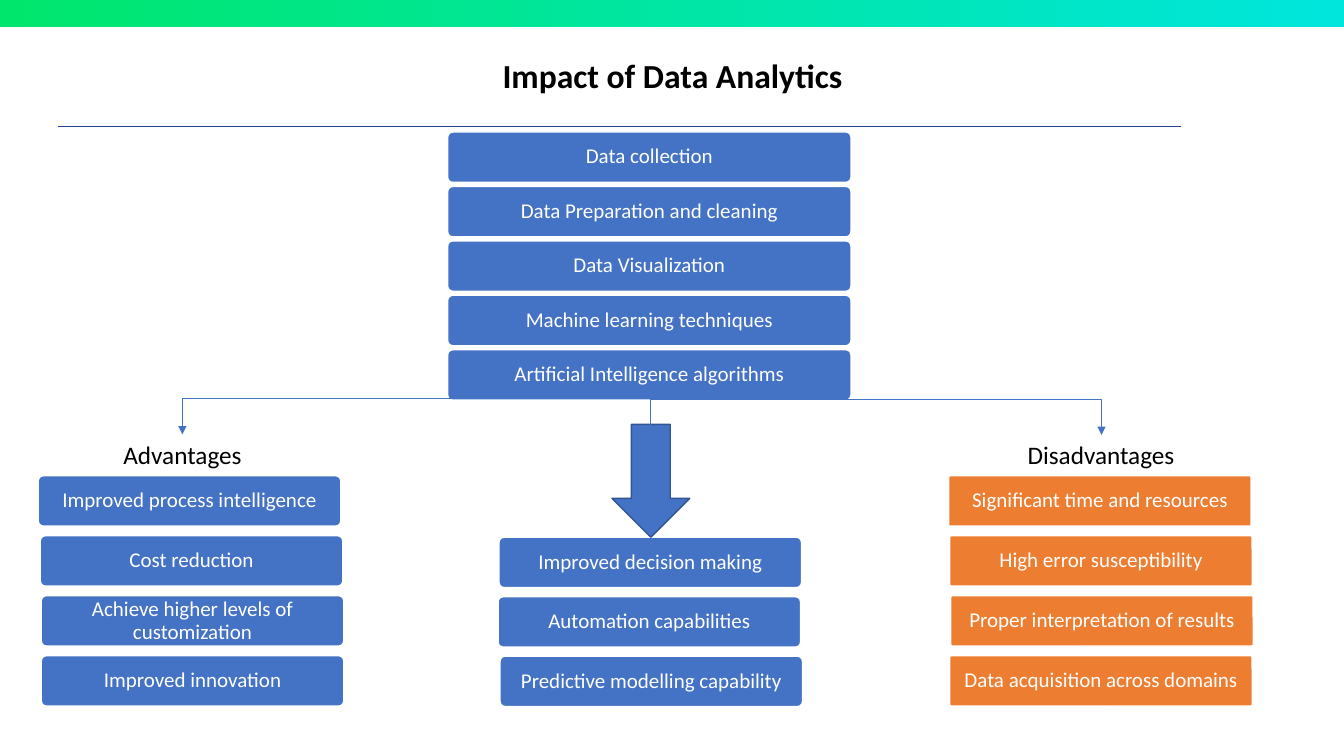
"""Build the slide on the impact of data analytics."""
import pptx
import pptx.util
import pptx.dml.color
import pptx.enum.shapes
import pptx.enum.text
import pptx.oxml
import pptx.oxml.ns

Inches = pptx.util.Inches
Pt = pptx.util.Pt
kinds = pptx.enum.shapes.MSO_SHAPE
links = pptx.enum.shapes.MSO_CONNECTOR
middle = pptx.enum.text.MSO_ANCHOR.MIDDLE
center = pptx.enum.text.PP_ALIGN.CENTER
colors = {
    "green": "00E66C", "aqua": "00E6DC", "navy": "234198", "blue": "4472C4",
    "edge": "325491", "orange": "ED7D31", "white": "FFFFFF", "black": "000000",
}
rgb = {name: pptx.dml.color.RGBColor.from_string(code) for name, code in colors.items()}


def write(shape, text, size, color, bold=False, inset=None, spacing=None):
    frame = shape.text_frame
    frame.word_wrap = True
    frame.text = text
    if inset is not None:
        frame.vertical_anchor = middle
        for side in ("left", "top", "right", "bottom"):
            setattr(frame, f"margin_{side}", Inches(inset))
    para = frame.paragraphs[0]
    para.alignment = center
    para.line_spacing = spacing
    font = para.runs[0].font
    for key, value in {"name": "Calibri", "size": Pt(size), "bold": bold}.items():
        setattr(font, key, value)
    font.color.rgb = rgb[color]


def draw(kind, box, fill, edge):
    shape = slide.shapes.add_shape(kind, *map(Inches, box))
    shape.shadow.inherit = False
    shape.fill.solid()
    shape.fill.fore_color.rgb = rgb[fill]
    shape.line.color.rgb = rgb[edge]
    shape.line.width = Pt(1)
    return shape


deck = pptx.Presentation()
deck.slide_width = Inches(13.33)
deck.slide_height = Inches(7.5)
slide = deck.slides.add_slide(deck.slide_layouts[6])

band = slide.shapes.add_shape(kinds.RECTANGLE, 0, 0, Inches(13.33), Inches(0.27))
band.shadow.inherit = False
band.line.fill.background()
band.fill.gradient()
band.fill.gradient_angle = 0
for stop, name in zip(band.fill.gradient_stops, ("green", "aqua")):
    stop.color.rgb = rgb[name]

labels = [
    ("Impact of Data Analytics", (1.94, 0.5, 9.46, 0.5), 24, True),
    ("Advantages", (0.75, 4.31, 2.12, 0.4), 18, False),
    ("Disadvantages", (9.86, 4.31, 2.12, 0.4), 18, False),
]
for text, box, size, bold in labels:
    write(slide.shapes.add_textbox(*map(Inches, box)), text, size, "black", bold)

stacks = [
    ([4.44] * 5, 1.31, 0.54, 4, "blue", 0.1, [
        "Data collection", "Data Preparation and cleaning", "Data Visualization",
        "Machine learning techniques", "Artificial Intelligence algorithms"]),
    ([4.95, 4.94, 4.96], 5.33, 0.59, 3, "blue", 0.1, [
        "Improved decision making", "Automation capabilities",
        "Predictive modelling capability"]),
    ([0.38, 0.4, 0.41, 0.41], 4.72, 0.595, 3, "blue", 0.1, [
        "Improved process intelligence", "Cost reduction",
        "Achieve higher levels of customization", "Improved innovation"]),
    ([9.41, 9.42, 9.43, 9.42], 4.72, 0.595, 3, "orange", 0.03, [
        "Significant time and resources", "High error susceptibility",
        "Proper interpretation of results", "Data acquisition across domains"]),
]
for lefts, top, step, width, fill, curve, texts in stacks:
    for row, (left, text) in enumerate(zip(lefts, texts)):
        card = draw(kinds.ROUNDED_RECTANGLE, (left, top + row * step, width, 0.5), fill, "white")
        card.adjustments[0] = curve
        write(card, text, 15, "white", inset=0.06, spacing=0.9)

draw(kinds.DOWN_ARROW, (6.07, 4.21, 0.77, 1.12), "blue", "edge")

lines = [
    (links.STRAIGHT, (0.58, 1.25, 11.71, 1.25), "navy"),
    (links.ELBOW, (4.18, 6.58, 4.08, 1.94), "blue"),
    (links.ELBOW, (8.74, 2.03, 8.64, 6.5), "blue"),
]
for kind, ends, color in lines:
    line = slide.shapes.add_connector(kind, *map(Inches, ends))
    line.line.color.rgb = rgb[color]
    line.line.width = Pt(0.5)
    props = line._element.spPr
    if kind == links.ELBOW:
        props.find(pptx.oxml.ns.qn("a:xfrm")).set("rot", "16200000")
        guide = pptx.oxml.parse_xml(
            f'<a:gd {pptx.oxml.ns.nsdecls("a")} name="adj1" fmla="val -254600"/>')
        props.find(".//" + pptx.oxml.ns.qn("a:avLst")).append(guide)
        tip = pptx.oxml.parse_xml(f'<a:tailEnd {pptx.oxml.ns.nsdecls("a")} type="triangle"/>')
        props.find(pptx.oxml.ns.qn("a:ln")).append(tip)
    props.append(pptx.oxml.parse_xml(f'<a:effectLst {pptx.oxml.ns.nsdecls("a")}/>'))

deck.save("out.pptx")
